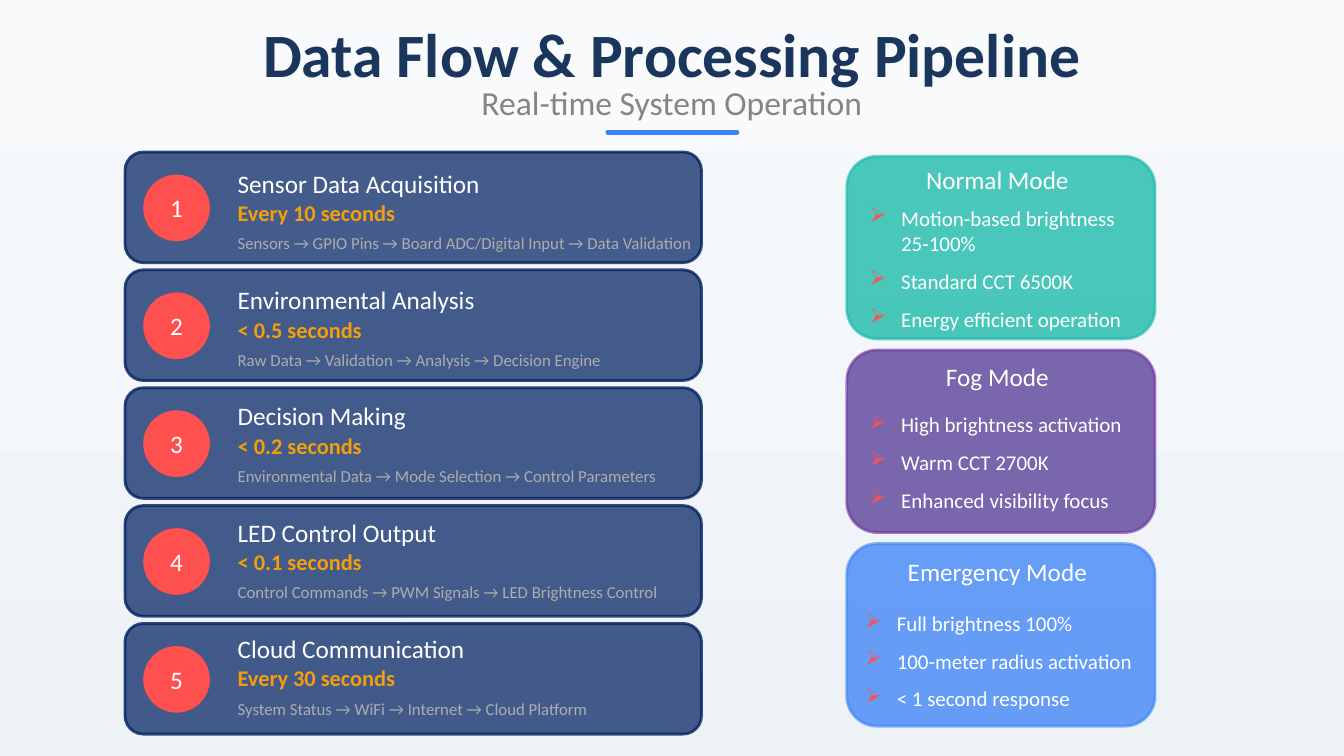
from dataclasses import dataclass

from lxml import etree
from pptx import Presentation
from pptx.dml.color import RGBColor
from pptx.enum.shapes import MSO_CONNECTOR, MSO_SHAPE
from pptx.enum.text import MSO_ANCHOR, MSO_AUTO_SIZE, PP_ALIGN
from pptx.oxml.ns import qn
from pptx.util import Cm, Pt

STRAIGHT = MSO_CONNECTOR.STRAIGHT
ROUNDED, OVAL = MSO_SHAPE.ROUNDED_RECTANGLE, MSO_SHAPE.OVAL
MIDDLE, GROW = MSO_ANCHOR.MIDDLE, MSO_AUTO_SIZE.SHAPE_TO_FIT_TEXT
LEFT, CENTER = PP_ALIGN.LEFT, PP_ALIGN.CENTER


@dataclass(frozen=True)
class Theme:
    """Colours and type sizes of the slide."""
    font: str = "Calibri"
    sky: str = "F8FAFC"
    mist: str = "EDF2F7"
    title: str = "1B365D"
    subtitle: str = "858585"
    rule: str = "3B82F6"
    navy: str = "002060"
    coral: str = "FF5050"
    amber: str = "F59E0B"
    silver: str = "ADADAD"
    white: str = "FFFFFF"
    teal: str = "14B8A6"
    violet: str = "543A96"
    violet_edge: str = "7030A0"
    blue: str = "3B82F6"
    title_size: int = 44
    subtitle_size: int = 24
    heading_size: int = 18
    timing_size: int = 16
    bullet_size: int = 15
    flow_size: int = 12


THEME = Theme()

STEPS = [
    ("Sensor Data Acquisition", "Every 10 seconds",
     "Sensors → GPIO Pins → Board ADC/Digital Input → Data Validation"),
    ("Environmental Analysis", "< 0.5 seconds",
     "Raw Data → Validation → Analysis → Decision Engine"),
    ("Decision Making", "< 0.2 seconds",
     "Environmental Data → Mode Selection → Control Parameters"),
    ("LED Control Output", "< 0.1 seconds",
     "Control Commands → PWM Signals → LED Brightness Control"),
    ("Cloud Communication", "Every 30 seconds",
     "System Status → WiFi → Internet → Cloud Platform"),
]

MODES = [
    ("Normal Mode", THEME.teal, THEME.teal, 4.01, (21.67, 5.05, 6.91, 3.35), 1.0,
     ["Motion-based brightness 25-100%", "Standard CCT 6500K",
      "Energy efficient operation"]),
    ("Fog Mode", THEME.violet, THEME.violet_edge, 8.99, (21.67, 9.93, 6.91, 3.05), 1.5,
     ["High brightness activation", "Warm CCT 2700K", "Enhanced visibility focus"]),
    ("Emergency Mode", THEME.blue, THEME.blue, 13.89, (21.56, 14.94, 7.57, 3.05), 1.5,
     ["Full brightness 100%", "100-meter radius activation", "< 1 second response"]),
]


def write(paragraph, text, *, size, color, bold=False, align=LEFT, spacing=None):
    """Put formatted text into a paragraph."""
    paragraph.alignment = align
    if spacing:
        paragraph.line_spacing = spacing
    run = paragraph.add_run()
    run.text = text
    run.font.name = THEME.font
    run.font.size = Pt(size)
    run.font.bold = bold
    run.font.color.rgb = RGBColor.from_string(color)


def add_bullet(paragraph, color):
    """Give a paragraph a coloured arrow bullet with a hanging indent."""
    properties = paragraph._p.get_or_add_pPr()
    properties.set("marL", str(Cm(0.79)))
    properties.set("indent", str(-Cm(0.79)))
    tint = etree.SubElement(properties, qn("a:buClr"))
    etree.SubElement(tint, qn("a:srgbClr"), val=color)
    etree.SubElement(properties, qn("a:buChar"), char="➢")


class Canvas:
    """Draws themed elements on the current slide or group."""

    def __init__(self, slide, theme):
        self.slide, self.theme = slide, theme
        self.shapes = slide.shapes

    def background(self):
        """Fill the slide with a vertical gradient."""
        fill = self.slide.background.fill
        fill.gradient()
        fill.gradient_angle = 270
        for stop, color in zip(fill.gradient_stops, (self.theme.sky, self.theme.mist)):
            stop.color.rgb = RGBColor.from_string(color)

    def open_group(self):
        """Send the following elements to a new group."""
        self.shapes = self.slide.shapes.add_group_shape().shapes

    def rule(self, left, right, y):
        """Draw a horizontal round-ended line."""
        rule = self.shapes.add_connector(STRAIGHT, Cm(left), Cm(y), Cm(right), Cm(y))
        rule.line.color.rgb = RGBColor.from_string(self.theme.rule)
        rule.line.width = Pt(3.5)
        rule.line._get_or_add_ln().set("cap", "rnd")
        etree.SubElement(rule._element.spPr, qn("a:effectLst"))

    def text(self, box, *lines, bullets=False, first_spacing=None, **style):
        """Add a text box with one paragraph for each line."""
        frame = self.shapes.add_textbox(*map(Cm, box)).text_frame
        frame.word_wrap = True
        frame.auto_size = GROW
        for index, line in enumerate(lines):
            paragraph = frame.add_paragraph() if index else frame.paragraphs[0]
            spacing = 1.5 if index else first_spacing
            write(paragraph, line, spacing=spacing, **style)
            if bullets:
                add_bullet(paragraph, self.theme.coral)

    def card(self, box, color, edge, opacity, edge_opacity):
        """Add a translucent rounded card."""
        card = self.shapes.add_shape(ROUNDED, *map(Cm, box))
        card.shadow.inherit = False
        card.fill.solid()
        card.fill.fore_color.rgb = RGBColor.from_string(color)
        card.line.color.rgb = RGBColor.from_string(edge)
        card.line.width = Pt(2)
        tints = card._element.spPr.iter(qn("a:srgbClr"))
        for tint, percent in zip(tints, (opacity, edge_opacity)):
            etree.SubElement(tint, qn("a:alpha"), val=str(percent * 1000))

    def badge(self, left, top, diameter, number):
        """Add a numbered disc."""
        badge = self.shapes.add_shape(OVAL, *map(Cm, (left, top, diameter, diameter)))
        badge.shadow.inherit = False
        badge.fill.solid()
        badge.fill.fore_color.rgb = RGBColor.from_string(self.theme.coral)
        badge.line.fill.background()
        badge.text_frame.vertical_anchor = MIDDLE
        write(badge.text_frame.paragraphs[0], str(number), align=CENTER,
              size=self.theme.heading_size, color=self.theme.white)

    def step(self, index, heading, timing, flow):
        """Add one pipeline step."""
        theme = self.theme
        card_top, text_top = 3.83 + 2.97 * index, 4.11 + 2.93 * index
        self.open_group()
        self.card((3.15, card_top, 14.53, 2.79), theme.navy, theme.navy, 72, 78)
        self.badge(3.61, card_top + 0.57, 1.68, index + 1)
        self.text((5.74, text_top, 9.04, 1.02), heading,
                  size=theme.heading_size, color=theme.white)
        self.text((5.74, text_top + 0.79, 9.04, 0.94), timing,
                  size=theme.timing_size, color=theme.amber, bold=True)
        self.text((5.74, text_top + 1.64, 12.4, 0.76), flow,
                  size=theme.flow_size, color=theme.silver)

    def mode(self, index, heading, color, edge, heading_top, body, spacing, features):
        """Add one operating mode."""
        theme = self.theme
        self.open_group()
        self.card((21.34, 3.94 + 4.88 * index, 7.77, 4.6), color, edge, 76, 60)
        self.text((22.53, heading_top, 5.21, 1.02), heading, align=CENTER,
                  size=theme.heading_size, color=theme.white)
        self.text(body, *features, bullets=True, first_spacing=spacing,
                  size=theme.bullet_size, color=theme.white)


def main():
    """Build and save the slide."""
    deck = Presentation()
    deck.slide_width, deck.slide_height = Cm(33.87), Cm(19.05)
    canvas = Canvas(deck.slides.add_slide(deck.slide_layouts[6]), THEME)
    canvas.background()
    canvas.text((5.92, 0.28, 22.05, 2.13), "Data Flow & Processing Pipeline",
                size=THEME.title_size, color=THEME.title, bold=True, align=CENTER)
    canvas.text((9.93, 1.93, 14, 1.27), "Real-time System Operation",
                size=THEME.subtitle_size, color=THEME.subtitle, align=CENTER)
    canvas.rule(15.32, 18.57, 3.33)
    for index, step in enumerate(STEPS):
        canvas.step(index, *step)
    for index, mode in enumerate(MODES):
        canvas.mode(index, *mode)
    deck.save("out.pptx")


if __name__ == "__main__":
    main()
